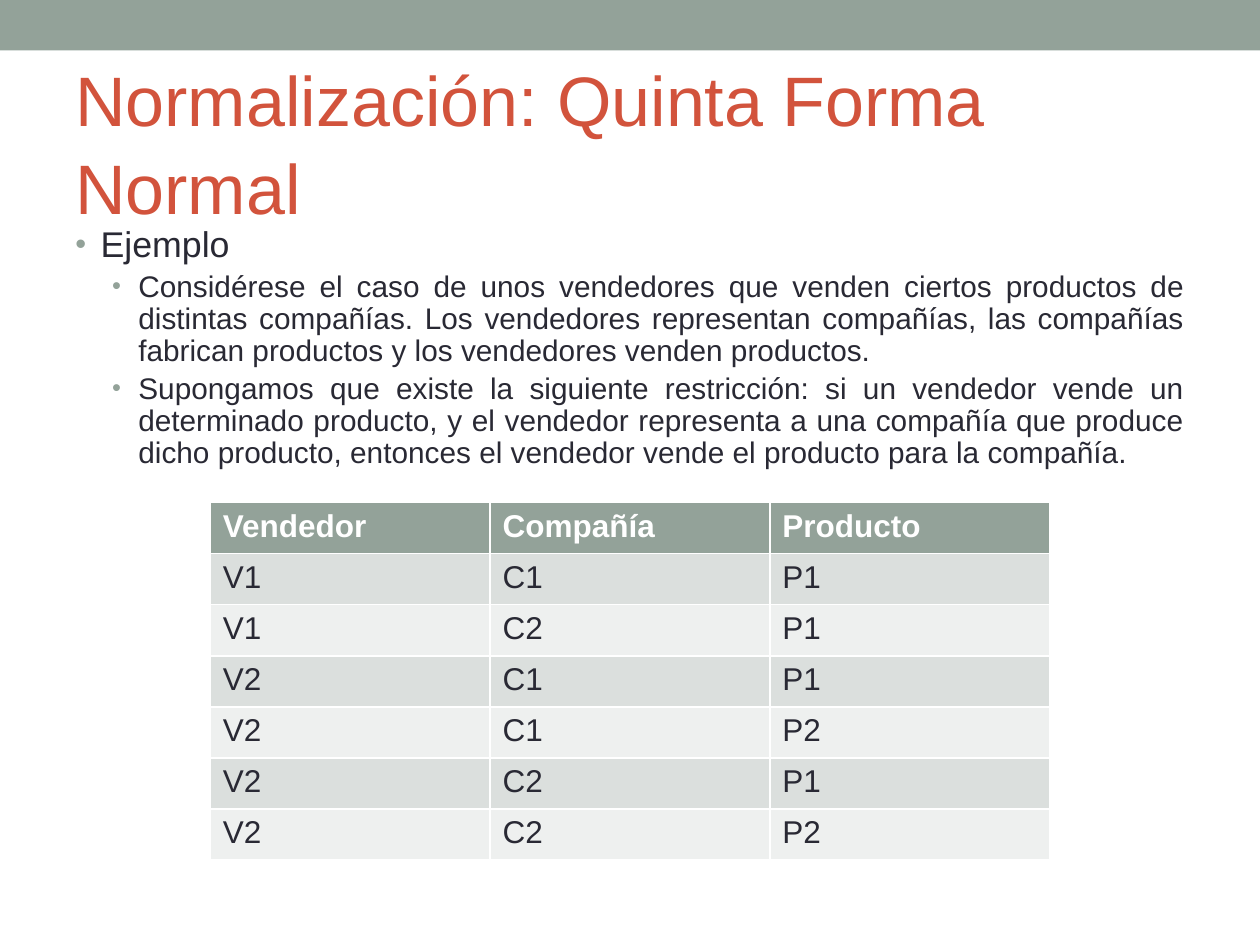
from lxml import etree
from pptx import Presentation
from pptx.dml.color import RGBColor
from pptx.enum.shapes import MSO_SHAPE
from pptx.enum.text import MSO_ANCHOR, PP_ALIGN
from pptx.oxml.ns import qn
from pptx.util import Cm, Pt

RECT = MSO_SHAPE.RECTANGLE
MIDDLE = MSO_ANCHOR.MIDDLE
LEFT, JUSTIFY = PP_ALIGN.LEFT, PP_ALIGN.JUSTIFY

SAGE = RGBColor(0x93, 0xA2, 0x99)
RUST = RGBColor(0xD2, 0x53, 0x3C)
INK = RGBColor(0x29, 0x29, 0x34)
WHITE = RGBColor(0xFF, 0xFF, 0xFF)
BANDS = RGBColor(0xDB, 0xDF, 0xDD), RGBColor(0xEE, 0xF0, 0xEF)
FONT = "Arial"

TITLE = "Normalización: Quinta Forma Normal"
# level, text
BODY = [
    (0, "Ejemplo"),
    (1, "Considérese el caso de unos vendedores que venden ciertos productos "
        "de distintas compañías. Los vendedores representan compañías, las "
        "compañías fabrican productos y los vendedores venden productos."),
    (1, "Supongamos que existe la siguiente restricción: si un vendedor vende "
        "un determinado producto, y el vendedor representa a una compañía que "
        "produce dicho producto, entonces el vendedor vende el producto para "
        "la compañía."),
]
# size, space before, left margin, hanging indent, bullet percent
LEVELS = [
    (20.4, 0, Cm(0.51), Cm(0.51), 87),
    (17, 3.4, Cm(1.27), Cm(0.53), 85),
]
ROWS = [
    ("Vendedor", "Compañía", "Producto"),
    ("V1", "C1", "P1"),
    ("V1", "C2", "P1"),
    ("V2", "C1", "P1"),
    ("V2", "C1", "P2"),
    ("V2", "C2", "P1"),
    ("V2", "C2", "P2"),
]
WIDE, HIGH = Cm(25.4), Cm(19.05)
EDGE = Cm(1.27)
COL, ROW = Cm(5.64), Cm(1.03)


def write(para, text, size=18, color=INK, bold=False, align=LEFT,
          lines=None, before=0):
    para.alignment = align
    para.line_spacing = lines
    para.space_before = Pt(before)
    run = para.add_run()
    run.text = text
    font = run.font
    font.name, font.size, font.bold = FONT, Pt(size), bold
    font.color.rgb = color


def add_bullet(para, left, hang, scale):
    props = para._p.get_or_add_pPr()
    props.set("marL", str(left))
    props.set("indent", str(-hang))
    tint = etree.SubElement(props, qn("a:buClr"))
    etree.SubElement(tint, qn("a:srgbClr"), val=str(SAGE))
    etree.SubElement(props, qn("a:buSzPct"), val=str(scale * 1000))
    etree.SubElement(props, qn("a:buFont"), typeface=FONT)
    etree.SubElement(props, qn("a:buChar"), char="•")


def add_frame(slide, top, height):
    box = slide.shapes.add_textbox(EDGE, top, WIDE - 2 * EDGE, height)
    box.text_frame.word_wrap = True
    return box.text_frame


def add_grid(slide):
    count = len(ROWS[0])
    left = (WIDE - count * COL) // 2
    grid = slide.shapes.add_table(len(ROWS), count, left, Cm(10.13),
                                  count * COL, len(ROWS) * ROW).table
    for r, row in enumerate(ROWS):
        head = r == 0
        for c, text in enumerate(row):
            cell = grid.cell(r, c)
            cell.fill.solid()
            cell.fill.fore_color.rgb = SAGE if head else BANDS[(r - 1) % 2]
            write(cell.text_frame.paragraphs[0], text, bold=head,
                  color=WHITE if head else INK)


def main():
    deck = Presentation()
    deck.slide_width, deck.slide_height = WIDE, HIGH
    slide = deck.slides.add_slide(deck.slide_layouts[6])

    band = slide.shapes.add_shape(RECT, 0, 0, WIDE, Cm(1.02))
    band.shadow.inherit = False
    band.fill.solid()
    band.fill.fore_color.rgb = SAGE
    band.line.fill.background()

    title = add_frame(slide, Cm(1.47), Cm(2.74))
    title.vertical_anchor = MIDDLE
    write(title.paragraphs[0], TITLE, size=40, color=RUST, lines=1.05)

    body = add_frame(slide, Cm(4.45), Cm(6.27))
    for i, (level, text) in enumerate(BODY):
        para = body.add_paragraph() if i else body.paragraphs[0]
        size, before, left, hang, scale = LEVELS[level]
        para.level = level
        write(para, text, size=size, align=JUSTIFY, lines=0.9, before=before)
        add_bullet(para, left, hang, scale)

    add_grid(slide)
    deck.save("out.pptx")


if __name__ == "__main__":
    main()
